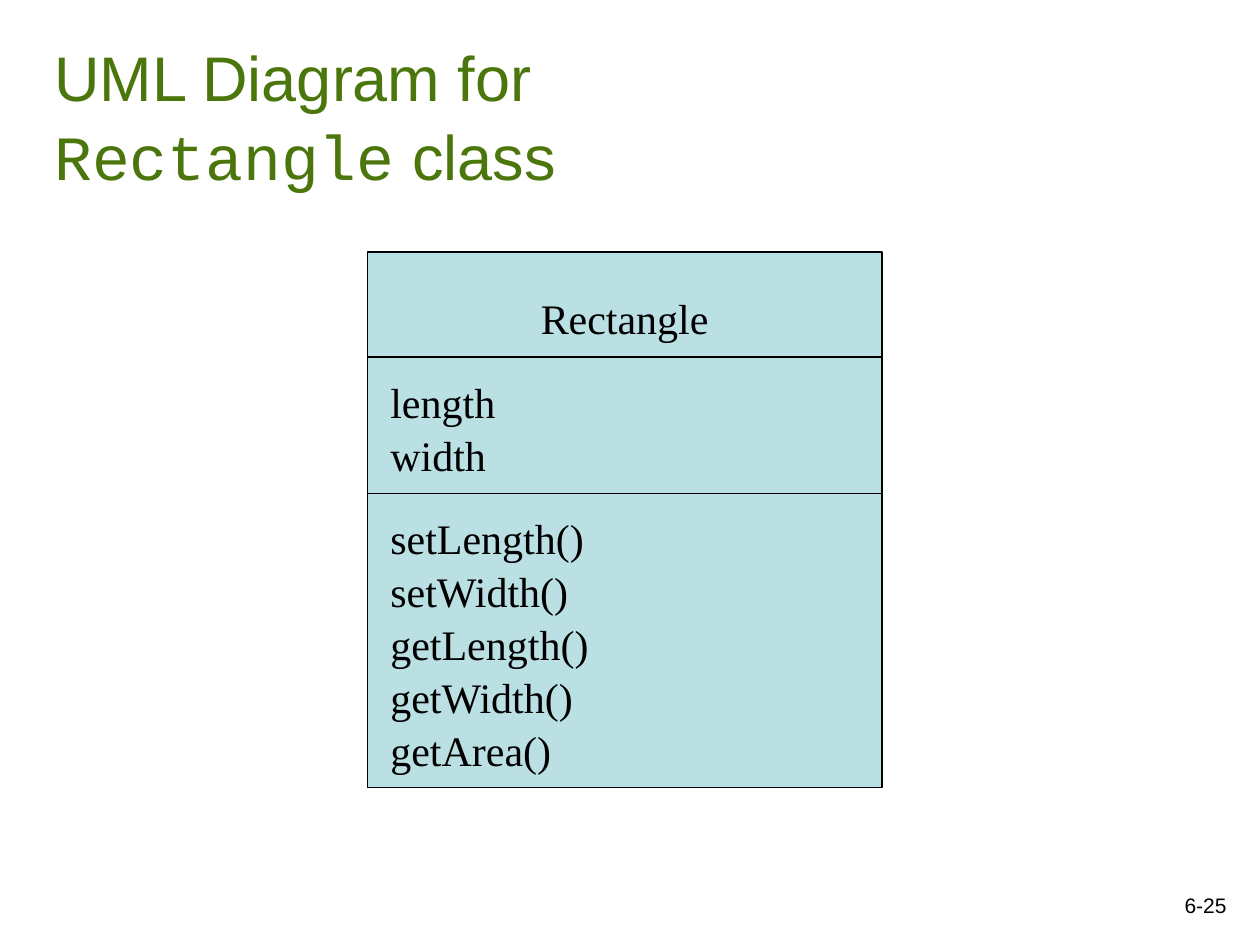
"""Builds a slide with the UML class diagram of Rectangle."""
from pptx import Presentation
from pptx.dml.color import RGBColor
from pptx.enum.shapes import MSO_CONNECTOR, MSO_SHAPE
from pptx.enum.text import MSO_ANCHOR, PP_ALIGN
from pptx.oxml.ns import qn
from pptx.util import Pt
from lxml import etree

LEFT, CENTER, RIGHT = PP_ALIGN.LEFT, PP_ALIGN.CENTER, PP_ALIGN.RIGHT
TOP, BOTTOM = MSO_ANCHOR.TOP, MSO_ANCHOR.BOTTOM
RECTANGLE, STRAIGHT = MSO_SHAPE.RECTANGLE, MSO_CONNECTOR.STRAIGHT

BLACK = RGBColor(0x00, 0x00, 0x00)
GREEN = RGBColor(0x4B, 0x76, 0x0B)
PALE_BLUE = RGBColor(0xBB, 0xE0, 0xE3)
SANS, MONO, SERIF = "Arial", "Courier New", "Times New Roman"

TITLE = [("UML Diagram for \v", SANS), ("Rectangle", MONO), (" class", SANS)]
CLASS_NAME = "Rectangle"
ATTRIBUTES = ["length", "width"]
METHODS = ["setLength()", "setWidth()", "getLength()", "getWidth()", "getArea()"]
PAGE_NUMBER = "6-25"

CLASS_LEFT, CLASS_TOP, CLASS_WIDTH, CLASS_HEIGHT = 210, 144, 294, 306
DIVIDERS = [204, 282]
LINE_WIDTH = 0.75
MEMBER_INDENT, MEMBER_GAP, MEMBER_WIDTH = 6, 6, 138
LINE_HEIGHT, PADDING = 28.8, 7.2


def add_text(slide, text, box, font=SERIF, size=24, color=BLACK,
             align=LEFT, anchor=TOP, spacing=1.05):
    """Add a text box; text is a string or a list of (text, font) runs."""
    shape = slide.shapes.add_textbox(*map(Pt, box))
    frame = shape.text_frame
    frame.word_wrap = True
    frame.vertical_anchor = anchor
    paragraph = frame.paragraphs[0]
    paragraph.alignment = align
    paragraph.line_spacing = spacing
    runs = [(text, font)] if isinstance(text, str) else text
    for content, run_font in runs:
        for index, part in enumerate(content.split("\v")):
            if index:
                paragraph.add_line_break()
            if part:
                run = paragraph.add_run()
                run.text = part
                run.font.name = run_font
                run.font.size = Pt(size)
                run.font.color.rgb = color


def add_class_box(slide):
    """Add the filled outline of the class."""
    shape = slide.shapes.add_shape(
        RECTANGLE, Pt(CLASS_LEFT), Pt(CLASS_TOP), Pt(CLASS_WIDTH), Pt(CLASS_HEIGHT))
    shape.shadow.inherit = False
    shape.fill.solid()
    shape.fill.fore_color.rgb = PALE_BLUE
    shape.line.color.rgb = BLACK
    shape.line.width = Pt(LINE_WIDTH)


def add_divider(slide, top):
    """Add a line across the class box."""
    line = slide.shapes.add_connector(
        STRAIGHT, Pt(CLASS_LEFT), Pt(top), Pt(CLASS_LEFT + CLASS_WIDTH), Pt(top))
    line.line.color.rgb = BLACK
    line.line.width = Pt(LINE_WIDTH)
    etree.SubElement(line.element.spPr, qn("a:effectLst"))


def main():
    """Build and save the slide."""
    presentation = Presentation()
    presentation.slide_width, presentation.slide_height = Pt(720), Pt(540)
    slide = presentation.slides.add_slide(presentation.slide_layouts[6])

    add_text(slide, PAGE_NUMBER, (558, 492, 150, 36), font=SANS, size=12,
             align=RIGHT, anchor=BOTTOM, spacing=1)
    add_text(slide, TITLE, (24, 24, 612, 90), size=36, color=GREEN, anchor=BOTTOM)
    add_class_box(slide)
    add_text(slide, CLASS_NAME, (CLASS_LEFT, 162, CLASS_WIDTH, 36), align=CENTER)
    for top, members in zip(DIVIDERS, (ATTRIBUTES, METHODS)):
        add_divider(slide, top)
        height = len(members) * LINE_HEIGHT + PADDING
        add_text(slide, "\v".join(members),
                 (CLASS_LEFT + MEMBER_INDENT, top + MEMBER_GAP, MEMBER_WIDTH, height))

    presentation.save("out.pptx")


if __name__ == "__main__":
    main()
